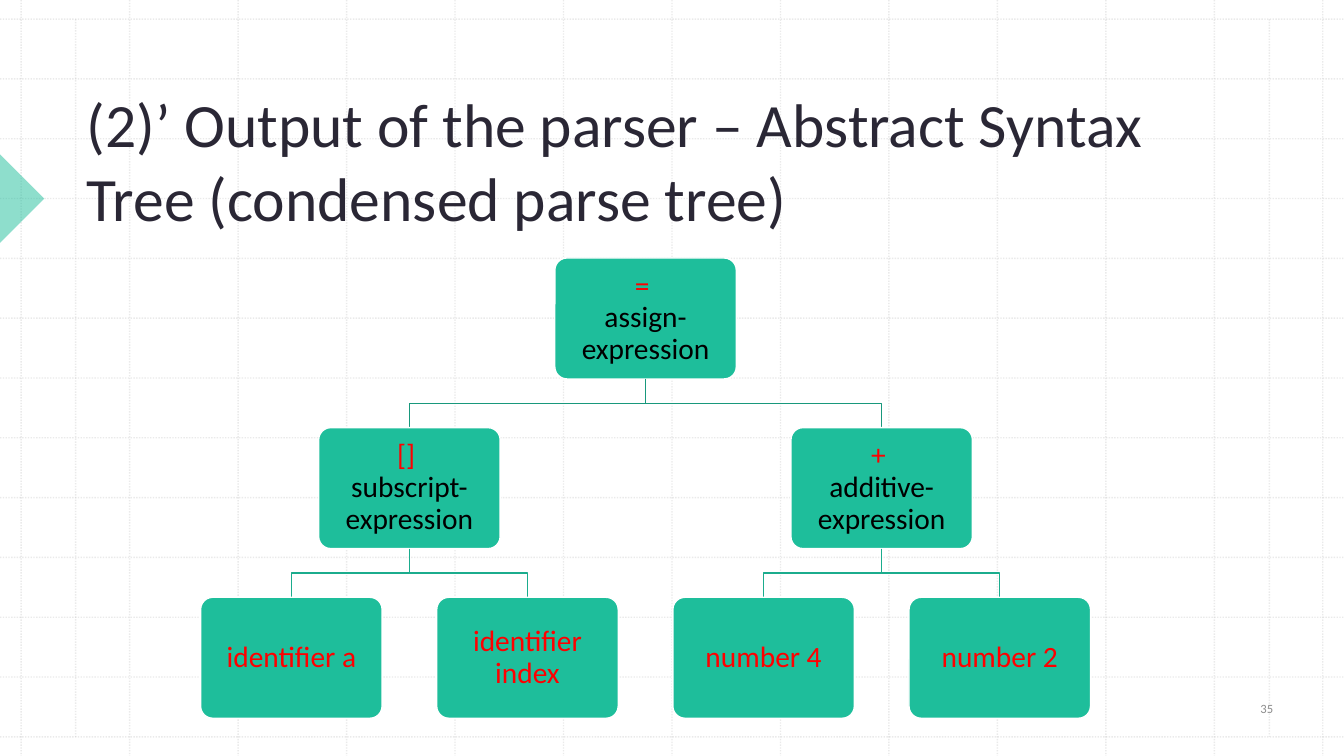
"""Build the abstract syntax tree slide."""
from dataclasses import dataclass
from typing import Optional

from pptx import Presentation as Deck
from pptx.dml.color import RGBColor as Rgb
from pptx.enum.dml import MSO_LINE as Dash
from pptx.enum.shapes import MSO_CONNECTOR as Wire, MSO_SHAPE as Kind
from pptx.enum.text import MSO_ANCHOR as Anchor, PP_ALIGN as Align
from pptx.oxml.ns import qn
from pptx.oxml.xmlchemy import OxmlElement as Tag
from pptx.util import Inches, Pt

HUE = {"grid": "BCBCBC", "box": "1EBE9B", "edge": "FFFFFF", "title": "2A2735",
       "token": "FF0000", "rule": "000000", "page": "8C8C8C",
       "upper": "18987C", "lower": "1BAC8D"}
FONT = "Calibri"
WIDE, HIGH = 13.33, 7.5
BOX_W, BOX_H = 1.8, 1.2
LEFT, TOP = 2.89, 2.56
COL, ROW = 2.342, 1.683


@dataclass(frozen=True)
class Node:
    token: str
    col: float
    row: int
    top: Optional["Node"] = None
    rule: str = ""

    @property
    def mid(self) -> float:
        return LEFT + COL * self.col

    @property
    def y(self) -> float:
        return TOP + ROW * self.row


ROOT = Node("= ", 1.5, 0, rule="assign-expression")
INDEX = Node("[] ", 0.5, 1, ROOT, "subscript-expression")
SUM = Node("+ ", 2.5, 1, ROOT, "additive-expression")
TREE = [ROOT, INDEX, Node("identifier a", 0, 2, INDEX),
        Node("identifier index", 1, 2, INDEX), SUM,
        Node("number 4", 2, 2, SUM), Node("number 2", 3, 2, SUM)]


def tint(name: str) -> Rgb:
    return Rgb.from_string(HUE[name])


def fade(shape, share: int) -> None:
    alpha = Tag("a:alpha")
    alpha.set("val", str(share * 1000))
    next(shape.element.iter(qn("a:srgbClr"))).append(alpha)


def style(run, size: float, name: str) -> None:
    run.font.name = FONT
    run.font.size = Pt(size)
    run.font.color.rgb = tint(name)


def grid_line(shapes, x1: float, y1: float, x2: float, y2: float) -> None:
    line = shapes.add_connector(Wire.STRAIGHT, *map(Inches, (x1, y1, x2, y2)))
    line.line.color.rgb = tint("grid")
    line.line.width = Pt(1)
    line.line.dash_style = Dash.ROUND_DOT
    line.element.spPr.append(Tag("a:effectLst"))
    fade(line, 30)


def draw_grid(shapes) -> None:
    for i in range(13):
        x, y = 0.21 + 12.91 * i / 12, 0.19 + 7.12 * i / 12
        grid_line(shapes, x, 0, x, HIGH)
        grid_line(shapes, 0, y, WIDE, y)
    for x in (0.75, 12.59):
        grid_line(shapes, x, 0.19, x, 7.31)


def draw_mark(shapes) -> None:
    mark = shapes.add_shape(Kind.RIGHT_TRIANGLE, Inches(-0.31), Inches(1.66),
                            Inches(0.62), Inches(0.62))
    mark.rotation = 225
    mark.shadow.inherit = False
    mark.fill.solid()
    mark.fill.fore_color.rgb = tint("box")
    mark.line.fill.background()
    fade(mark, 50)


def add_text(shapes, text: str, area: tuple, size: float, name: str,
             anchor: Anchor, align: Align) -> None:
    frame = shapes.add_textbox(*map(Inches, area)).text_frame
    frame.word_wrap = True
    frame.vertical_anchor = anchor
    frame.text = text
    line = frame.paragraphs[0]
    line.alignment = align
    style(line.runs[0], size, name)


def draw_link(shapes, node: Node) -> None:
    start = node.top.y + BOX_H
    bend = (start + node.y) / 2
    spots = [(node.top.mid, start), (node.top.mid, bend),
             (node.mid, bend), (node.mid, node.y)]
    (x, y), *rest = [(Inches(a), Inches(b)) for a, b in spots]
    path = shapes.build_freeform(x, y)
    path.add_line_segments(rest, close=False)
    link = path.convert_to_shape()
    link.shadow.inherit = False
    link.fill.background()
    link.line.color.rgb = tint("upper" if node.row == 1 else "lower")
    link.line.width = Pt(1)


def draw_node(shapes, node: Node) -> None:
    box = shapes.add_shape(Kind.ROUNDED_RECTANGLE, Inches(node.mid - BOX_W / 2),
                           Inches(node.y), Inches(BOX_W), Inches(BOX_H))
    box.adjustments[0] = 0.1
    box.shadow.inherit = False
    box.fill.solid()
    box.fill.fore_color.rgb = tint("box")
    box.line.color.rgb = tint("edge")
    box.line.width = Pt(1)
    frame = box.text_frame
    frame.word_wrap = True
    frame.vertical_anchor = Anchor.MIDDLE
    frame.margin_left = frame.margin_right = Inches(0.12)
    frame.margin_top = frame.margin_bottom = Inches(0.12)
    line = frame.paragraphs[0]
    line.text = f"{node.token}\v{node.rule}" if node.rule else node.token
    line.alignment = Align.CENTER
    line.line_spacing = 0.9
    for run, name in zip(line.runs, ("token", "rule")):
        style(run, 21, name)


def main() -> None:
    deck = Deck()
    deck.slide_width, deck.slide_height = Inches(WIDE), Inches(HIGH)
    shapes = deck.slides.add_slide(deck.slide_layouts[6]).shapes
    draw_grid(shapes)
    draw_mark(shapes)
    add_text(shapes, "(2)’ Output of the parser – Abstract Syntax Tree "
             "(condensed parse tree)", (0.76, 0.79, 11.29, 1.58), 44, "title",
             Anchor.BOTTOM, Align.LEFT)
    for node in TREE:
        if node.top:
            draw_link(shapes, node)
        draw_node(shapes, node)
    add_text(shapes, "35", (12.03, 6.8, 1.07, 0.46), 9, "page",
             Anchor.MIDDLE, Align.CENTER)
    deck.save("out.pptx")


if __name__ == "__main__":
    main()
